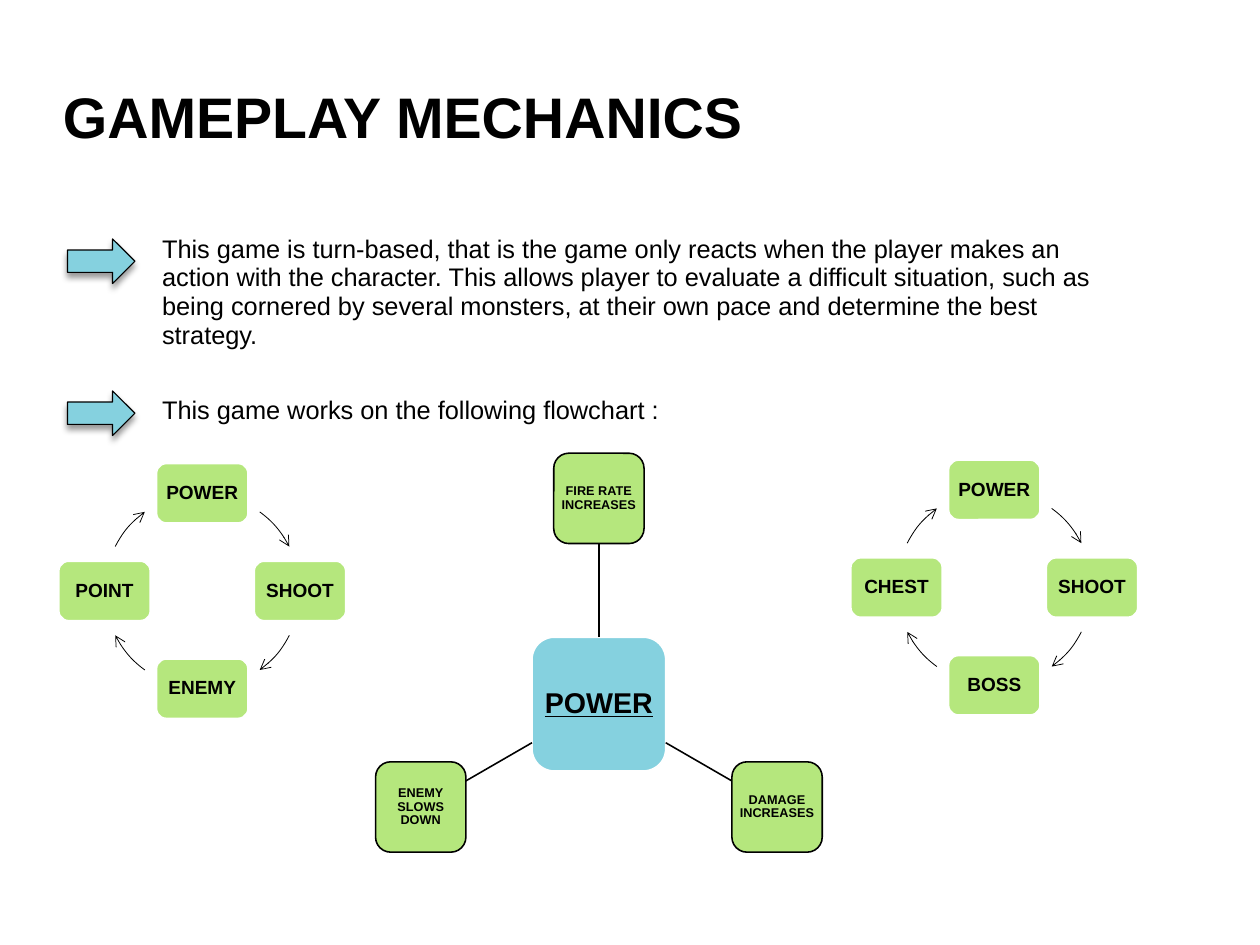
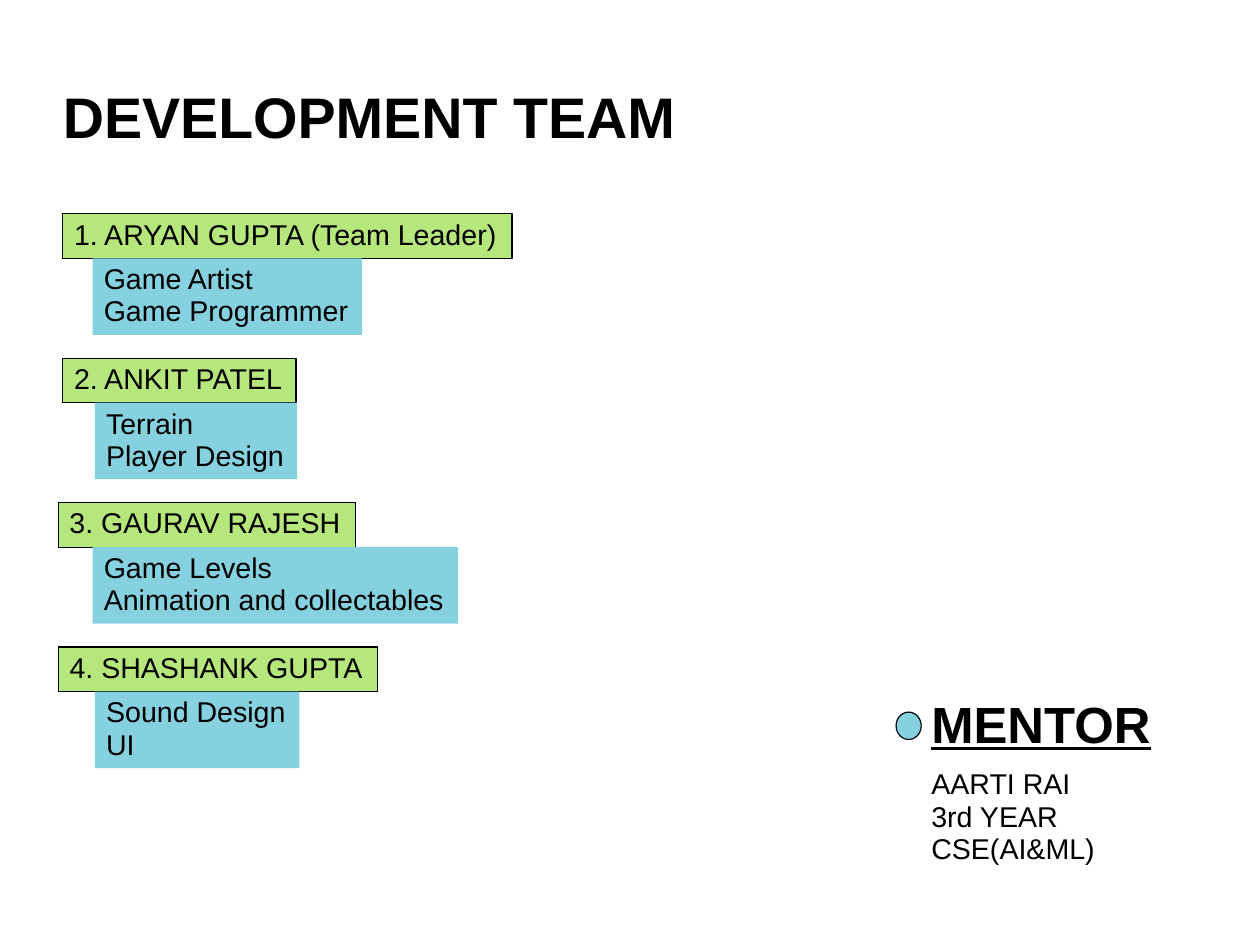
import math

import pptx
import pptx.dml.color
import pptx.enum.shapes
import pptx.enum.text
import pptx.util
from lxml import etree
from pptx.oxml.ns import qn

PX = 9144  # 100 px to the inch
PAGE_SIZE = (1102.43, 826.73)
FONT = "Arial"
BLACK, WHITE, GREEN, BLUE = "000000", "FFFFFF", "B5E77D", "85D1DF"
TITLE_AREA = (55, 63, 787, 79)

SHAPE = pptx.enum.shapes.MSO_SHAPE
ALIGN = pptx.enum.text.PP_ALIGN
ANCHOR = pptx.enum.text.MSO_ANCHOR

# Arrow top, text area, wrap, wording
POINTS = [
    (209, (132, 201, 866, 111), True,
     "This game is turn-based, that is the game only reacts when the player makes an "
     "action with the character. This allows player to evaluate a difficult situation, "
     "such as being cornered by several monsters, at their own pace and determine the "
     "best strategy."),
    (342, (132, 342, 460, 35), False, "This game works on the following flowchart :"),
]

# Centre, then nodes clockwise from the top
CYCLES = [
    ((177, 517), ["POWER", "SHOOT", "ENEMY", "POINT"]),
    ((870, 514), ["POWER", "SHOOT", "BOSS", "CHEST"]),
]
CYCLE_DIAMETER = 171
CYCLE_NODE = (80, 52)
ARC_SPANS = [(-54, -27), (27, 54), (126, 153), (207, 234)]

HUB_CENTRE, HUB_SIZE, HUB_TEXT = (524, 616), 117, "POWER"
SPOKE_LENGTH, EFFECT_SIZE = 180, 79
EFFECTS = [(-90, "FIRE RATE INCREASES"), (30, "DAMAGE INCREASES"), (150, "ENEMY SLOWS DOWN")]

# Name, its left and width, roles, their left and width
MEMBERS = [
    ("1. ARYAN GUPTA (Team Leader)", 55, 393, ["Game Artist", "Game Programmer"], 81, 236),
    ("2. ANKIT PATEL", 55, 204, ["Terrain", "Player Design"], 83, 177),
    ("3. GAURAV RAJESH", 51, 260, ["Game Levels", "Animation and collectables"], 81, 320),
    ("4. SHASHANK GUPTA", 51, 279, ["Sound Design", "UI"], 83, 179),
]
FIRST_MEMBER_TOP, MEMBER_PITCH = 187, 126.33
NAME_HEIGHT, ROLES_HEIGHT = 39, 67
MENTOR = ["AARTI RAI", "3rd YEAR", "CSE(AI&ML)"]


def emu(*lengths):
    return [pptx.util.Emu(round(length * PX)) for length in lengths]


def rgb(value):
    return pptx.dml.color.RGBColor.from_string(value)


def centred(centre, width, height):
    return centre[0] - width / 2, centre[1] - height / 2, width, height


def write(shape, lines, size, bold=False, underline=False, align=ALIGN.LEFT,
          anchor=ANCHOR.TOP, wrap=False, spacing=0.94, insets=(10, 5, 10, 5)):
    frame = shape.text_frame
    frame.auto_size = pptx.enum.text.MSO_AUTO_SIZE.NONE
    frame.word_wrap = wrap
    frame.vertical_anchor = anchor
    (frame.margin_left, frame.margin_top,
     frame.margin_right, frame.margin_bottom) = emu(*insets)
    frame.text = "\n".join(lines)
    for para in frame.paragraphs:
        para.alignment = align
        para.line_spacing = spacing
        font = para.font
        font.name, font.size = FONT, pptx.util.Pt(size)
        font.bold, font.underline = bold, underline
        font.color.rgb = rgb(BLACK)


def add_text(page, area, lines, size, **style):
    write(page.shapes.add_textbox(*emu(*area)), lines, size, **style)


def set_line(shape, color, width):
    shape.line.color.rgb = rgb(color)
    shape.line.width = pptx.util.Pt(width)


def add_shape(page, kind, area, fill, line=None, width=0.75):
    shape = page.shapes.add_shape(kind, *emu(*area))
    shape.shadow.inherit = False
    if fill:
        shape.fill.solid()
        shape.fill.fore_color.rgb = rgb(fill)
    else:
        shape.fill.background()
    if line:
        set_line(shape, line, width)
    else:
        shape.line.fill.background()
    return shape


def add_node(page, area, fill, line, label, size, underline=False):
    node = add_shape(page, SHAPE.ROUNDED_RECTANGLE, area, fill, line, 1)
    write(node, [label], size, bold=True, underline=underline, align=ALIGN.CENTER,
          anchor=ANCHOR.MIDDLE, wrap=True, spacing=0.9, insets=(2, 2, 2, 2))


def add_page(deck, title):
    page = deck.slides.add_slide(deck.slide_layouts[5])
    box = page.shapes.title
    box.left, box.top, box.width, box.height = emu(*TITLE_AREA)
    write(box, [title], 36, bold=True, anchor=ANCHOR.MIDDLE, wrap=True, insets=(0, 3, 0, 0))
    return page


def add_point(page, arrow_top, area, wrap, wording):
    arrow = add_shape(page, SHAPE.RIGHT_ARROW, (59, arrow_top, 59, 39), BLUE, BLACK)
    effects = arrow._element.spPr.find(qn("a:effectLst"))
    shadow = etree.SubElement(effects, qn("a:outerShdw"), blurRad="50800", dist="38100",
                              dir="5400000", algn="t", rotWithShape="0")
    color = etree.SubElement(shadow, qn("a:srgbClr"), val=BLACK)
    etree.SubElement(color, qn("a:alpha"), val="40000")
    add_text(page, area, [wording], 16, wrap=wrap)


def add_cycle(page, centre, labels):
    radius = CYCLE_DIAMETER / 2
    for step, (label, span) in enumerate(zip(labels, ARC_SPANS)):
        angle = math.radians(90 * step - 90)
        place = (centre[0] + radius * math.cos(angle), centre[1] + radius * math.sin(angle))
        add_node(page, centred(place, *CYCLE_NODE), GREEN, WHITE, label, 12)
        arc = add_shape(page, SHAPE.ARC, centred(centre, CYCLE_DIAMETER, CYCLE_DIAMETER),
                        None, BLACK, 0.5)
        for index, degrees in enumerate(span):
            arc.adjustments[index] = degrees % 360 * 0.6  # 60000ths of a degree / 100000
        etree.SubElement(arc.line._get_or_add_ln(), qn("a:tailEnd"), type="arrow")


def add_hub(page):
    add_node(page, centred(HUB_CENTRE, HUB_SIZE, HUB_SIZE), BLUE, WHITE, HUB_TEXT, 18,
             underline=True)
    for degrees, label in EFFECTS:
        dx, dy = math.cos(math.radians(degrees)), math.sin(math.radians(degrees))
        reach = 2 * max(abs(dx), abs(dy))

        def along(distance):
            return HUB_CENTRE[0] + distance * dx, HUB_CENTRE[1] + distance * dy

        start = along(HUB_SIZE / reach)
        end = along(SPOKE_LENGTH - EFFECT_SIZE / reach)
        spoke = page.shapes.add_connector(pptx.enum.shapes.MSO_CONNECTOR.STRAIGHT,
                                          *emu(*start, *end))
        set_line(spoke, BLACK, 1)
        etree.SubElement(spoke._element.spPr, qn("a:effectLst"))
        add_node(page, centred(along(SPOKE_LENGTH), EFFECT_SIZE, EFFECT_SIZE),
                 GREEN, BLACK, label, 8)


def build_mechanics(deck):
    page = add_page(deck, "GAMEPLAY MECHANICS")
    for point in POINTS:
        add_point(page, *point)
    for cycle in CYCLES:
        add_cycle(page, *cycle)
    add_hub(page)


def build_team(deck):
    page = add_page(deck, "DEVELOPMENT TEAM")
    add_text(page, (805, 605, 214, 61), ["MENTOR"], 32, bold=True, underline=True)
    add_text(page, (805, 668, 165, 96), MENTOR, 18)
    add_shape(page, SHAPE.OVAL, (784, 623, 22, 24), BLUE, BLACK)
    for row, (name, left, width, roles, roles_left, roles_width) in enumerate(MEMBERS):
        top = FIRST_MEMBER_TOP + row * MEMBER_PITCH
        name_box = add_shape(page, SHAPE.RECTANGLE, (left, top, width, NAME_HEIGHT),
                             GREEN, BLACK)
        write(name_box, [name], 18)
        roles_box = add_shape(page, SHAPE.RECTANGLE,
                              (roles_left, top + NAME_HEIGHT, roles_width, ROLES_HEIGHT),
                              BLUE)
        write(roles_box, roles, 18)


def main():
    deck = pptx.Presentation()
    deck.slide_width, deck.slide_height = emu(*PAGE_SIZE)
    build_mechanics(deck)
    build_team(deck)
    deck.save("out.pptx")


if __name__ == "__main__":
    main()
